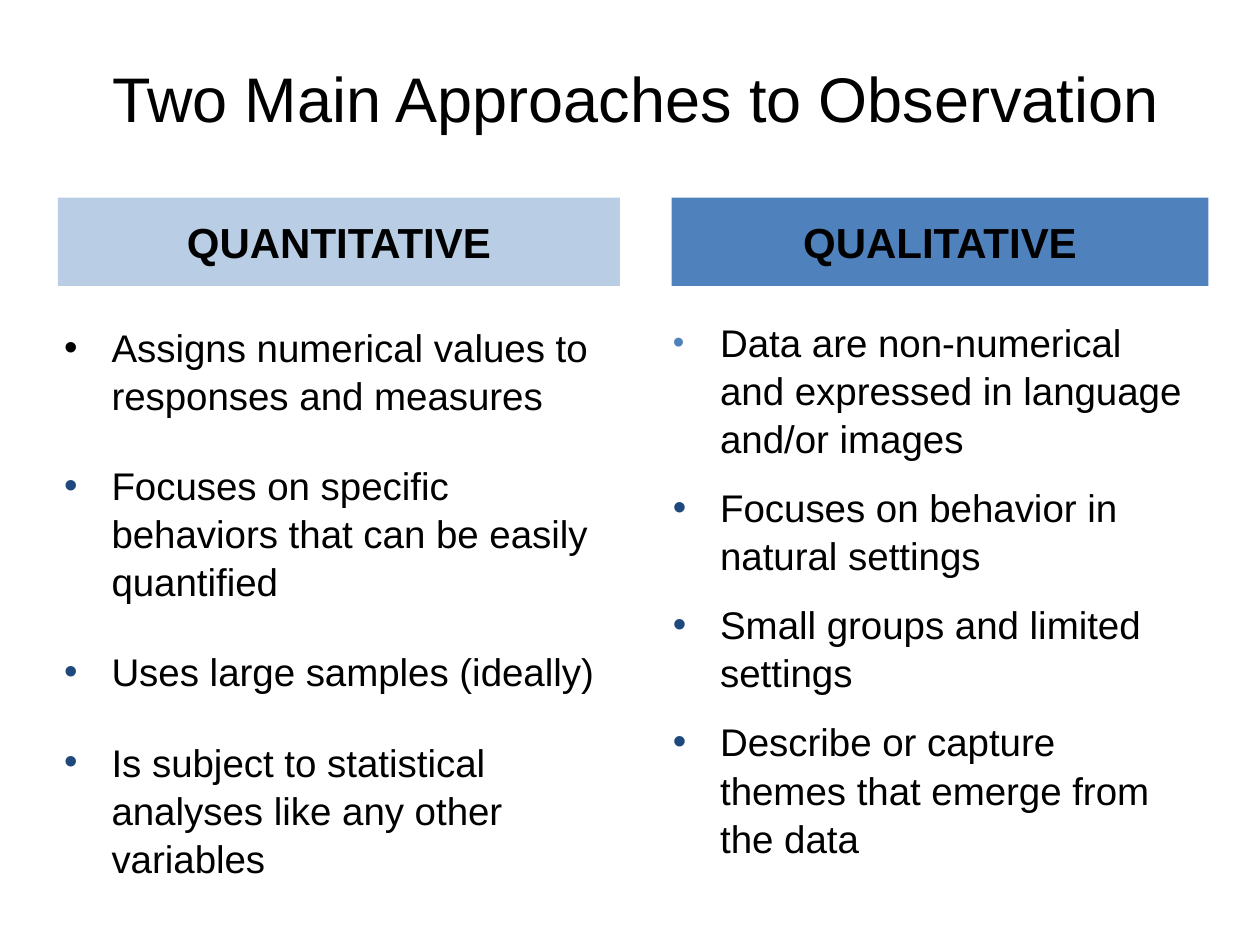
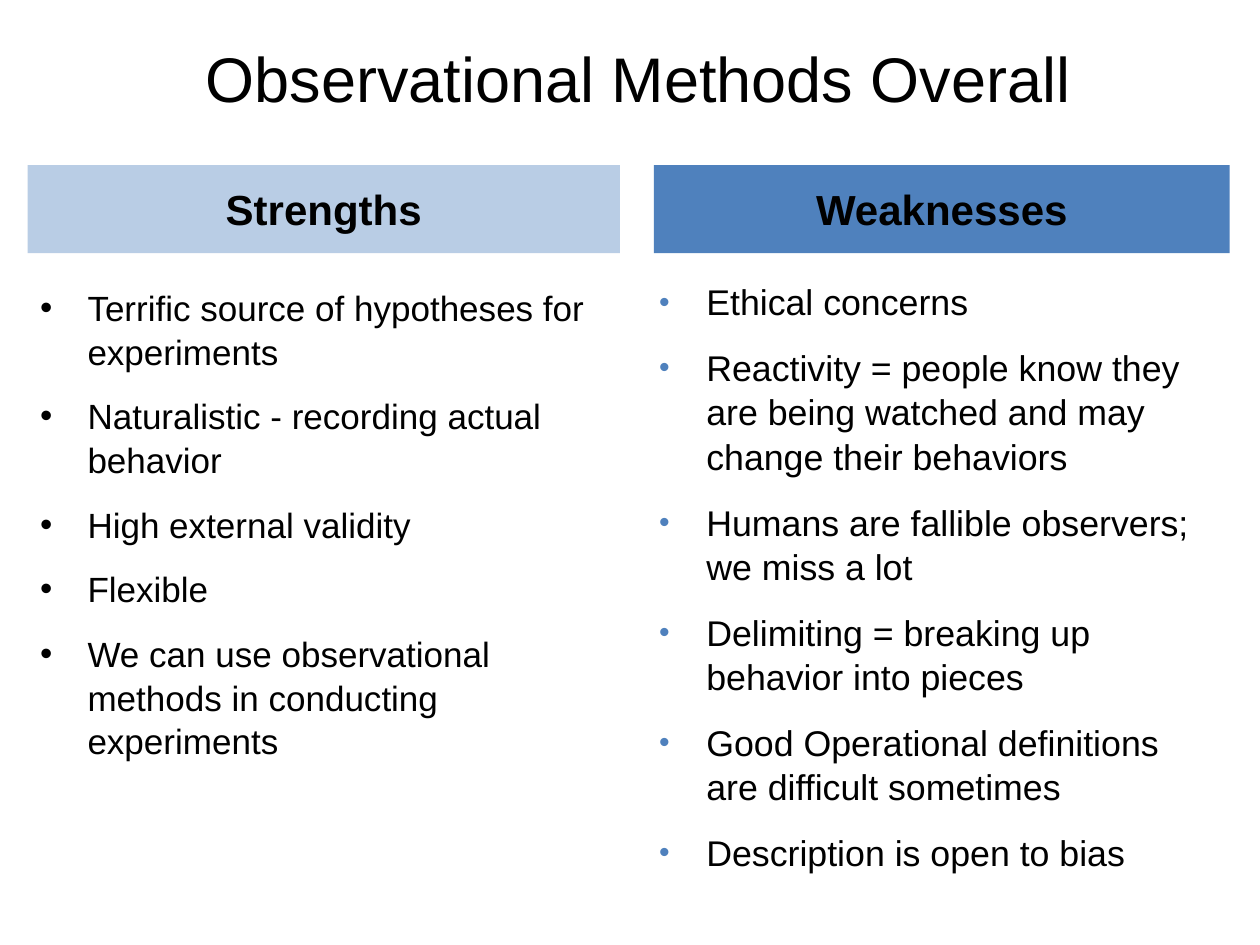
"""Builds two slides that compare approaches to observation side by side."""
from lxml import etree
from pptx import Presentation
from pptx import util as u
from pptx.dml.color import RGBColor
from pptx.enum import text
from pptx.oxml import ns

BLACK = RGBColor(0x00, 0x00, 0x00)
PALE_BLUE = RGBColor(0xB9, 0xCD, 0xE5)
MID_BLUE = RGBColor(0x4F, 0x81, 0xBD)
NAVY = RGBColor(0x1F, 0x49, 0x7D)

FONT = "Arial"
TITLE_SIZE, HEADING_SIZE = 36, 24
HEADING_HEIGHT = 50.4
INDENT = 27
COMPARISON_LAYOUT = 4


class Deck:
    """Holds the shared style and the current slide."""

    def __init__(self):
        self.prs = Presentation()
        self.prs.slide_width, self.prs.slide_height = u.Pt(720), u.Pt(540)
        self.slide = None

    def new_slide(self):
        layout = self.prs.slide_layouts[COMPARISON_LAYOUT]
        self.slide = self.prs.slides.add_slide(layout)

    def place(self, idx, box, anchor):
        part = self.slide.placeholders[idx]
        part.left, part.top, part.width, part.height = map(u.Pt, box)
        frame = part.text_frame
        frame.word_wrap = True
        frame.auto_size = text.MSO_AUTO_SIZE.NONE
        frame.vertical_anchor = anchor
        return part

    def add_words(self, paragraph, words, size, bold=False):
        run = paragraph.add_run()
        run.text = words
        font = run.font
        font.name, font.size, font.bold = FONT, u.Pt(size), bold
        font.color.rgb = BLACK

    def centred(self, idx, box, words, size, bold=False):
        part = self.place(idx, box, text.MSO_ANCHOR.MIDDLE)
        line = part.text_frame.paragraphs[0]
        line.alignment = text.PP_ALIGN.CENTER
        line.space_before = u.Pt(0)
        self.add_words(line, words, size, bold)
        return part

    def title(self, box, words):
        self.centred(0, box, words, TITLE_SIZE)

    def heading(self, idx, left, top, width, words, fill):
        box = (left, top, width, HEADING_HEIGHT)
        band = self.centred(idx, box, words, HEADING_SIZE, bold=True)
        band.fill.solid()
        band.fill.fore_color.rgb = fill

    def bullet(self, paragraph, colour, percent):
        props = paragraph._p.get_or_add_pPr()
        props.set("marL", str(u.Pt(INDENT)))
        props.set("indent", str(-u.Pt(INDENT)))
        tint = etree.SubElement(props, ns.qn("a:buClr"))
        etree.SubElement(tint, ns.qn("a:srgbClr"), val=str(colour))
        etree.SubElement(props, ns.qn("a:buSzPct"), val=str(percent * 1000))
        etree.SubElement(props, ns.qn("a:buFont"), typeface=FONT)
        etree.SubElement(props, ns.qn("a:buChar"), char="•")

    def points(self, idx, box, lines, size, first, rest, gap_after=6):
        """Fills a list; first and rest are (colour, percent) bullet styles."""
        frame = self.place(idx, box, text.MSO_ANCHOR.TOP).text_frame
        for i, words in enumerate(lines):
            line = frame.add_paragraph() if i else frame.paragraphs[0]
            self.bullet(line, *(rest if i else first))
            line.line_spacing = 1.04
            line.space_before = u.Pt(6 if i else 0)
            line.space_after = u.Pt(gap_after)
            self.add_words(line, words, size)


def main():
    deck = Deck()
    plain, navy, small_blue = (BLACK, 100), (NAVY, 100), (MID_BLUE, 85)

    deck.new_slide()
    deck.title((33.1, 1.4, 660.2, 108), "Two Main Approaches to Observation")
    deck.heading(1, 33.1, 113, 321.1, "QUANTITATIVE", PALE_BLUE)
    deck.heading(3, 383.8, 113, 306.7, "QUALITATIVE", MID_BLUE)
    deck.points(2, (29.5, 180.7, 321.1, 359.3), [
        "Assigns numerical values to responses and measures",
        "Focuses on specific behaviors that can be easily quantified",
        "Uses large samples (ideally)",
        "Is subject to statistical analyses like any other variables",
    ], 22, plain, navy, gap_after=18)
    deck.points(4, (377.3, 177.8, 306.7, 326.2), [
        "Data are non-numerical and expressed in language and/or images",
        "Focuses on behavior in natural settings",
        "Small groups and limited settings",
        "Describe or capture themes that emerge from the data",
    ], 22, small_blue, navy)

    deck.new_slide()
    deck.title((34.6, 5, 660.2, 78.5), "Observational Methods Overall")
    deck.heading(1, 15.8, 94.3, 338.4, "Strengths", PALE_BLUE)
    deck.heading(3, 373.7, 94.3, 329, "Weaknesses", MID_BLUE)
    deck.points(2, (15.8, 159.1, 338.4, 257), [
        "Terrific source of hypotheses for experiments",
        "Naturalistic - recording actual behavior",
        "High external validity",
        "Flexible",
        "We can use observational methods in conducting experiments",
    ], 20, plain, plain)
    deck.points(4, (369.4, 155.5, 329, 339.1), [
        "Ethical concerns",
        "Reactivity = people know they are being watched and may change "
        "their behaviors",
        "Humans are fallible observers; we miss a lot",
        "Delimiting = breaking up behavior into pieces",
        "Good Operational definitions are difficult sometimes",
        "Description is open to bias",
    ], 20.4, small_blue, small_blue)

    deck.prs.save("out.pptx")


if __name__ == "__main__":
    main()
